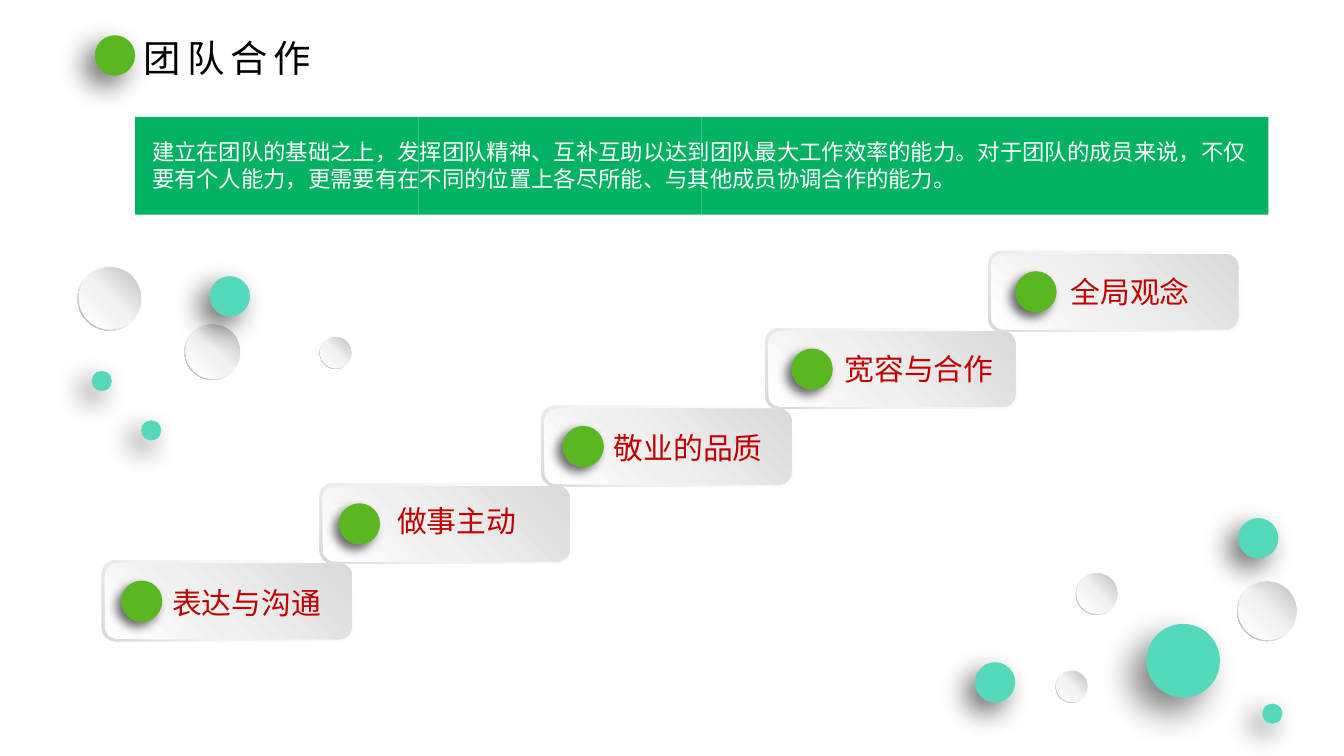
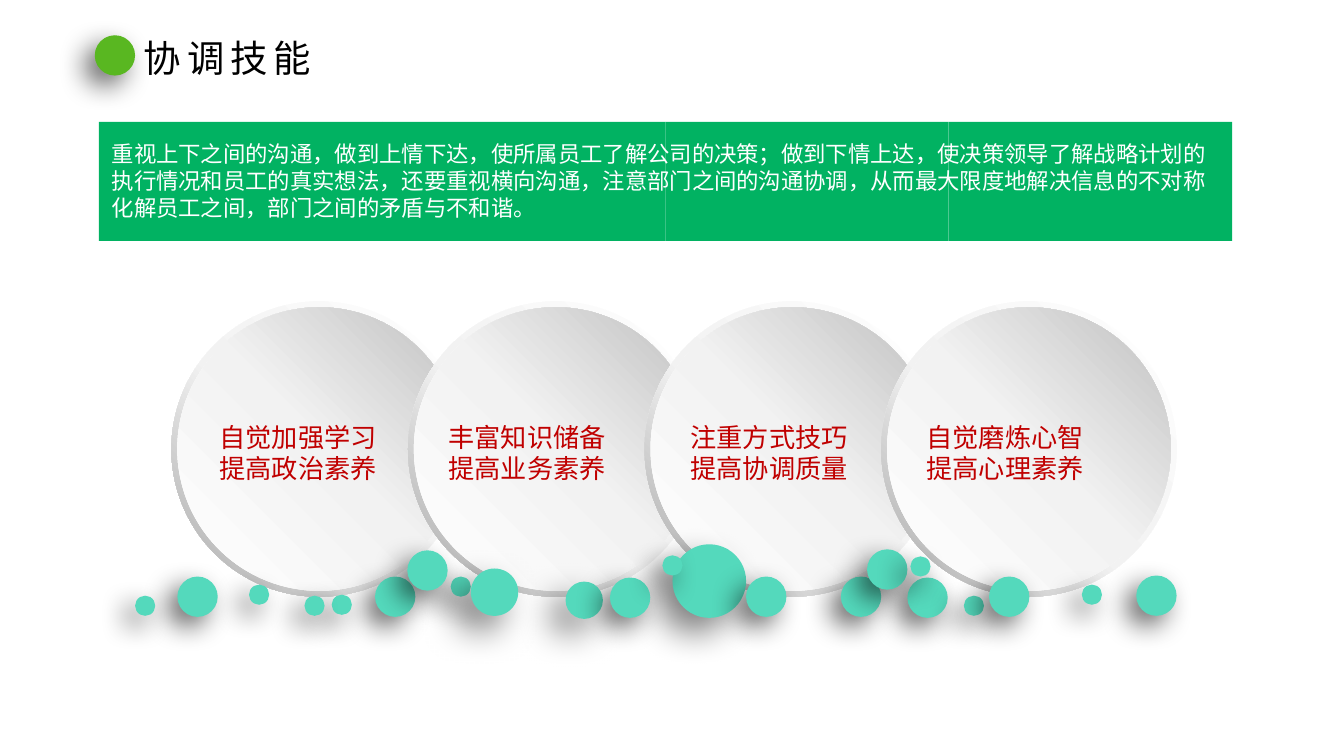
from lxml.etree import SubElement
from pptx import Presentation
from pptx.dml.color import RGBColor
from pptx.enum.shapes import MSO_SHAPE
from pptx.enum.text import MSO_AUTO_SIZE
from pptx.oxml.ns import qn
from pptx.util import Inches, Pt

FONT = "Noto Sans CJK SC"
BLACK = RGBColor(0x00, 0x00, 0x00)
WHITE = RGBColor(0xFF, 0xFF, 0xFF)
BAND_GREEN = RGBColor(0x01, 0xB2, 0x62)
DOT_GREEN = RGBColor(0x59, 0xB7, 0x21)
TEAL = RGBColor(0x54, 0xD9, 0xBC)
LABEL_RED = RGBColor(0xC0, 0x00, 0x00)
GREY_F2 = RGBColor(0xF2, 0xF2, 0xF2)
GREY_F0 = RGBColor(0xF0, 0xF0, 0xF0)
GREY_D9 = RGBColor(0xD9, 0xD9, 0xD9)
GREY_BF = RGBColor(0xBF, 0xBF, 0xBF)
GREY_A6 = RGBColor(0xA6, 0xA6, 0xA6)

UP_RIGHT, DOWN_LEFT = 45, 225
CARD_RIM = ([(0, WHITE), (62, GREY_F2), (100, GREY_D9)], DOWN_LEFT)
CARD_FACE = ([(0, WHITE), (42, GREY_F0), (100, GREY_D9)], UP_RIGHT)
DISC_RIM = ([(0, WHITE), (55, GREY_F2), (100, GREY_A6)], DOWN_LEFT)
DISC_FACE = ([(0, WHITE), (51, GREY_F2), (100, GREY_BF)], UP_RIGHT)

# opacity percent, blur points, distance points
SOFT_SHADOW = (60, 20, 10)
DEEP_SHADOW = (50, 25, 15)
CARD_SHADOW = (57, 7, 5)
SMALL_BUBBLES = (0.2, 0.4)

TEAMWORK = {
    "title": "团队合作",
    "band": (1.34, 1.16, 0.97),
    "intro_at": (1.41, 1.32),
    "intro": [
        "建立在团队的基础之上，发挥团队精神、互补互助以达到团队最大工作效率的能力。对于团队的成员来说，不仅",
        "要有个人能力，更需要有在不同的位置上各尽所能、与其他成员协调合作的能力。",
    ],
    "discs": [
        (0.77, 2.64, 0.64), (1.83, 3.21, 0.56), (10.47, 6.65, 0.32),
        (10.67, 5.68, 0.42), (12.27, 5.76, 0.6), (3.17, 3.34, 0.32),
    ],
    "bubbles": [
        (11.37, 6.19, 0.73), (12.28, 5.14, 0.4), (2.08, 2.74, 0.4),
        (0.91, 3.68, 0.2), (9.67, 6.57, 0.4), (1.4, 4.17, 0.2),
        (12.52, 6.98, 0.2),
    ],
}
STEPS = [
    ("表达与沟通", 1.01, 1.2, (1.61, 5.75)),
    ("做事主动", 3.17, 3.36, (3.84, 4.94)),
    ("敬业的品质", 5.37, 5.58, (5.99, 4.21)),
    ("宽容与合作", 7.59, 7.85, (8.28, 3.43)),
    ("全局观念", 9.8, 10.07, (10.52, 2.67)),
]
FIRST_STEP_TOP, LAST_STEP_TOP = 5.56, 2.49

COORDINATION = {
    "title": "协调技能",
    "band": (0.98, 1.21, 1.18),
    "intro_at": (1.01, 1.34),
    "intro": [
        "重视上下之间的沟通，做到上情下达，使所属员工了解公司的决策；做到下情上达，使决策领导了解战略计划的",
        "执行情况和员工的真实想法，还要重视横向沟通，注意部门之间的沟通协调，从而最大限度地解决信息的不对称",
        "化解员工之间，部门之间的矛盾与不和谐。",
    ],
    "discs": [(1.7 + 7.04 * i / 3, 2.99, 2.93) for i in range(4)],
    "bubbles": [
        (6.67, 5.4, 0.73), (8.34, 5.72, 0.4), (3.72, 5.72, 0.4),
        (3.29, 5.9, 0.2), (9, 5.73, 0.4), (4.47, 5.72, 0.2),
        (9.56, 5.91, 0.2), (5.61, 5.77, 0.37), (9.81, 5.72, 0.4),
        (6.05, 5.73, 0.4), (10.73, 5.8, 0.2), (8.6, 5.45, 0.4),
        (3.02, 5.91, 0.2), (6.57, 5.51, 0.2), (4.67, 5.64, 0.47),
        (7.4, 5.72, 0.4), (1.76, 5.72, 0.4), (1.34, 5.91, 0.2),
        (4.04, 5.46, 0.4), (2.47, 5.8, 0.2), (9.03, 5.52, 0.2),
        (11.27, 5.71, 0.4),
    ],
}
SKILLS = [
    (2.08, ["自觉加强学习", "提高政治素养"]),
    (4.35, ["丰富知识储备", "提高业务素养"]),
    (6.75, ["注重方式技巧", "提高协调质量"]),
    (9.09, ["自觉磨炼心智", "提高心理素养"]),
]


def add_plain(slide, preset, left, top, width, height):
    shape = slide.shapes.add_shape(
        preset, Inches(left), Inches(top), Inches(width), Inches(height))
    shape.line.fill.background()
    shape.shadow.inherit = False
    return shape


def fill_gradient(shape, stops, angle):
    shape.fill.gradient()
    shape.fill.gradient_angle = angle
    stop_list = shape.element.spPr.find(".//" + qn("a:gsLst"))
    for default_stop in list(stop_list):
        stop_list.remove(default_stop)
    for position, color in stops:
        stop = SubElement(stop_list, qn("a:gs"), pos=str(position * 1000))
        SubElement(stop, qn("a:srgbClr"), val=str(color))


def add_dot(slide, left, top, size, color, shadow):
    dot = add_plain(slide, MSO_SHAPE.OVAL, left, top, size, size)
    dot.fill.solid()
    dot.fill.fore_color.rgb = color
    opacity, blur, distance = shadow
    effects = dot.element.spPr.find(qn("a:effectLst"))
    outer = SubElement(effects, qn("a:outerShdw"), blurRad=str(Pt(blur)),
                       dist=str(Pt(distance)), dir=str(135 * 60000),
                       algn="tr", rotWithShape="0")
    tint = SubElement(outer, qn("a:srgbClr"), val=str(BLACK))
    SubElement(tint, qn("a:alpha"), val=str(opacity * 1000))


def add_disc(slide, left, top, size):
    rim = add_plain(slide, MSO_SHAPE.DONUT, left, top, size, size)
    rim.adjustments[0] = 0.05
    fill_gradient(rim, *DISC_RIM)
    inset = size * 0.02
    face_size = size - 2 * inset
    face = add_plain(slide, MSO_SHAPE.OVAL, left + inset, top + inset,
                     face_size, face_size)
    fill_gradient(face, *DISC_FACE)


def add_text(slide, left, top, lines, size, color, spacing=0):
    width = max(map(len, lines)) * (size + spacing) / 72 + 0.2
    height = len(lines) * size * 1.2 / 72 + 0.1
    box = slide.shapes.add_textbox(
        Inches(left), Inches(top), Inches(width), Inches(height))
    frame = box.text_frame
    frame.word_wrap = False
    frame.auto_size = MSO_AUTO_SIZE.SHAPE_TO_FIT_TEXT
    frame.text = "\n".join(lines)
    for paragraph in frame.paragraphs:
        paragraph.font.size = Pt(size)
        paragraph.font.color.rgb = color
        paragraph.font.name = FONT
        defaults = paragraph._p.pPr.find(qn("a:defRPr"))
        SubElement(defaults, qn("a:ea"), typeface=FONT)
        if spacing:
            defaults.set("spc", str(spacing * 100))


def add_header(slide, topic):
    left, top, height = topic["band"]
    for i in range(4):
        panel = add_plain(slide, MSO_SHAPE.RECTANGLE,
                          left + 2.81 * i, top, 2.81, height)
        panel.fill.solid()
        panel.fill.fore_color.rgb = BAND_GREEN
    add_dot(slide, 0.94, 0.35, 0.4, DOT_GREEN, SOFT_SHADOW)
    add_text(slide, 1.33, 0.3, [topic["title"]], 26.7, BLACK, spacing=4)
    add_text(slide, *topic["intro_at"], topic["intro"], 16, WHITE)


def add_bubbles(slide, bubbles):
    for left, top, size in bubbles:
        shadow = SOFT_SHADOW if size in SMALL_BUBBLES else DEEP_SHADOW
        add_dot(slide, left, top, size, TEAL, shadow)


def add_card(slide, left, top, dot_left):
    rim = add_plain(slide, MSO_SHAPE.ROUNDED_RECTANGLE, left, top, 2.51, 0.8)
    fill_gradient(rim, *CARD_RIM)
    face = add_plain(slide, MSO_SHAPE.ROUNDED_RECTANGLE,
                     left + 0.03, top + 0.03, 2.45, 0.75)
    fill_gradient(face, *CARD_FACE)
    add_dot(slide, dot_left, top + 0.2, 0.41, DOT_GREEN, CARD_SHADOW)


def build_teamwork(slide):
    add_header(slide, TEAMWORK)
    rise = (FIRST_STEP_TOP - LAST_STEP_TOP) / (len(STEPS) - 1)
    for i, (label, left, dot_left, label_at) in enumerate(STEPS):
        add_card(slide, left, FIRST_STEP_TOP - rise * i, dot_left)
        add_text(slide, *label_at, [label], 21.3, LABEL_RED)
    for disc in TEAMWORK["discs"]:
        add_disc(slide, *disc)
    add_bubbles(slide, TEAMWORK["bubbles"])


def build_coordination(slide):
    add_header(slide, COORDINATION)
    for disc in COORDINATION["discs"]:
        add_disc(slide, *disc)
    for left, lines in SKILLS:
        add_text(slide, left, 4.13, lines, 18.7, LABEL_RED)
    add_bubbles(slide, COORDINATION["bubbles"])


def main():
    deck = Presentation()
    deck.slide_width, deck.slide_height = Inches(13.33), Inches(7.5)
    for build in (build_teamwork, build_coordination):
        build(deck.slides.add_slide(deck.slide_layouts[6]))
    deck.save("out.pptx")


if __name__ == "__main__":
    main()
